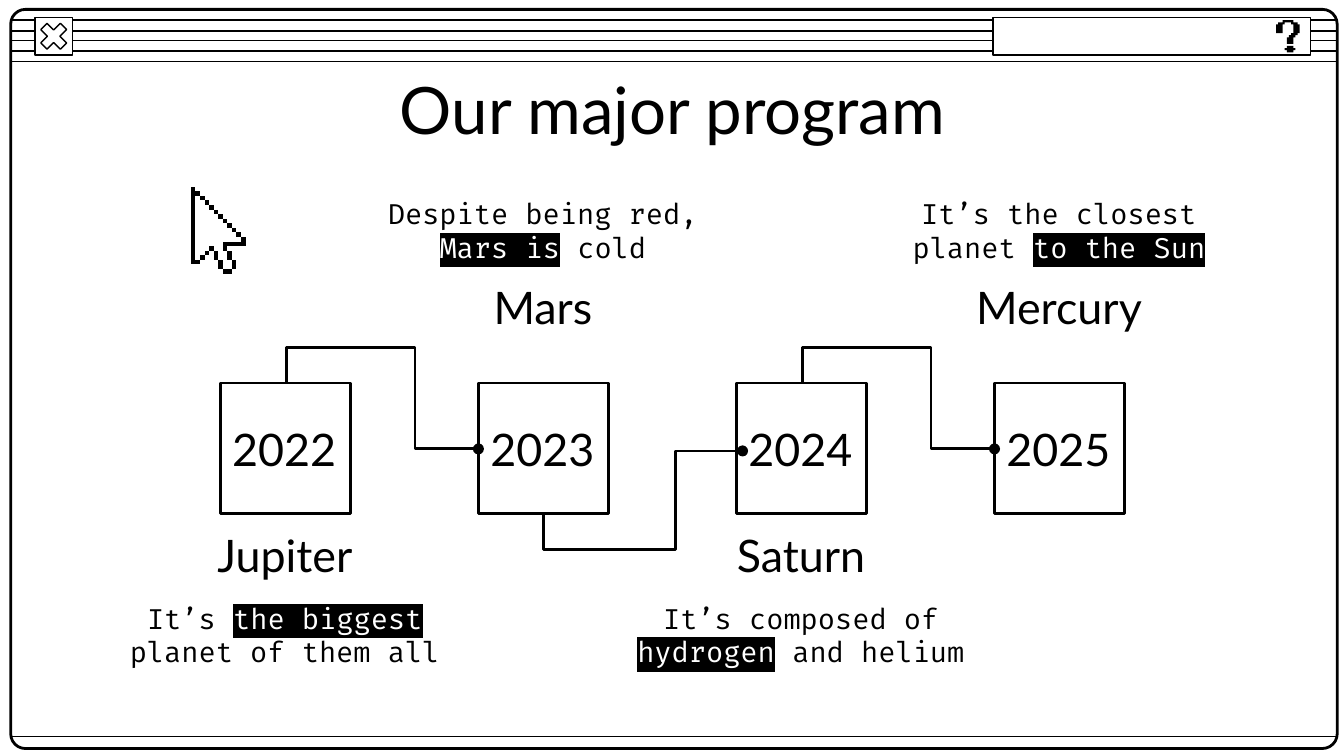
from lxml.etree import SubElement
from pptx import Presentation
from pptx.dml.color import RGBColor
from pptx.enum.shapes import MSO_CONNECTOR, MSO_SHAPE
from pptx.enum.text import MSO_ANCHOR, PP_ALIGN
from pptx.oxml import parse_xml
from pptx.oxml.ns import nsdecls, qn
from pptx.util import Inches, Pt

BLACK = RGBColor(0, 0, 0)
WHITE = RGBColor(255, 255, 255)

presentation = Presentation()
presentation.slide_width = Inches(10)
presentation.slide_height = Inches(5.625)
slide = presentation.slides.add_slide(presentation.slide_layouts[6])
shapes = slide.shapes

CELL = presentation.slide_width / 100
STEP = 19.2
THIN, THICK = Pt(0.75), Pt(1.5)
FRAME_FORMAT = {"word_wrap": True, "vertical_anchor": MSO_ANCHOR.MIDDLE}
FRAME_FORMAT.update({f"margin_{side}": Inches(0.1) for side in ("left", "top", "right", "bottom")})
HEADING = {"size": Pt(24), "name": "Lato"}
TITLE = {"size": Pt(35), "name": "Lato"}
BODY = {"size": Pt(15), "name": "Fira Code"}


def grid(*cells):
    return [round(cell * CELL) for cell in cells]


def style(shape, fill=None, line_width=None):
    shape.shadow.inherit = False
    if fill is None:
        shape.fill.background()
    else:
        shape.fill.solid()
        shape.fill.fore_color.rgb = fill
    if line_width is None:
        shape.line.fill.background()
    else:
        shape.line.color.rgb = BLACK
        shape.line.width = line_width


connectors = []
for rule_top in (1.5, 2.3, 3, 3.8, 4.6, 54.8):
    rule = shapes.add_connector(MSO_CONNECTOR.STRAIGHT, *grid(0.8, rule_top, 99.5, rule_top))
    connectors.append((rule, THIN))

window_parts = [
    (MSO_SHAPE.ROUNDED_RECTANGLE, (0.8, 0.7, 98.7, 55), None, THICK, 0.02),
    (MSO_SHAPE.RECTANGLE, (2.6, 1.3, 2.8, 2.8), WHITE, THIN, None),
    (MSO_SHAPE.MATH_MULTIPLY, (2.6, 1.3, 2.8, 2.8), WHITE, THIN, 0.235),
    (MSO_SHAPE.RECTANGLE, (73.9, 1.3, 23.6, 2.8), WHITE, THIN, None),
]
for kind, place, fill, line_width, adjustment in window_parts:
    part = shapes.add_shape(kind, *grid(*place))
    style(part, fill, line_width)
    if adjustment is not None:
        part.adjustments[0] = adjustment

question_dot = [(5, 12), (5, 13), (4, 13), (4, 14), (5, 14), (5, 15),
                (8, 15), (8, 14), (9, 14), (9, 13), (8, 13), (8, 12)]
question_hook = [(3, 0), (3, 1), (1, 1), (1, 2), (0, 2), (0, 6), (3, 6), (3, 2),
                 (4, 2), (4, 1), (7, 1), (7, 2), (8, 2), (8, 6), (7, 6), (7, 7),
                 (6, 7), (6, 8), (5, 8), (5, 11), (8, 11), (8, 8), (9, 8), (9, 7),
                 (10, 7), (10, 6), (11, 6), (11, 2), (10, 2), (10, 1), (8, 1), (8, 0)]
cursor_body = [(0, 0), (0, 17), (2, 17), (2, 16), (3, 16), (3, 15), (4, 15), (4, 14),
               (5, 14), (5, 16), (6, 16), (6, 18), (7, 18), (7, 19), (9, 19), (9, 18),
               (10, 18), (10, 16), (9, 16), (9, 14), (8, 14), (8, 13), (12, 13)]
for stair in range(11, 0, -1):
    cursor_body += [(stair + 1, stair), (stair, stair)]
cursor_body.append((1, 0))

cursor_strokes = [(0, 0, 1, 17)] + [(stair, stair, 1, 1) for stair in range(1, 12)]
cursor_strokes += [(7, 12, 5, 1), (7, 13, 1, 1), (4, 13, 1, 1), (5, 14, 1, 2),
                   (6, 16, 1, 2), (7, 18, 2, 1), (8, 14, 1, 2), (9, 16, 1, 2),
                   (3, 14, 1, 1), (2, 15, 1, 1), (1, 16, 1, 1)]

question_place = (94.95, 1.5, 0.16)
cursor_place = (14.2, 13.9, 0.34)
pixel_outlines = [
    (question_dot, question_place, BLACK),
    (question_hook, question_place, BLACK),
    (cursor_body, cursor_place, WHITE),
]
for column, row, width, height in cursor_strokes:
    right, bottom = column + width, row + height
    corners = [(column, row), (column, bottom), (right, bottom), (right, row)]
    pixel_outlines.append((corners, cursor_place, BLACK))
for points, (left, top, pixel), fill in pixel_outlines:
    builder = shapes.build_freeform(*points[0], scale=pixel * CELL)
    builder.add_line_segments(points[1:], close=True)
    style(builder.convert_to_shape(*grid(left, top)), fill)

milestones = [
    ("2022", "Jupiter", 39, 44.4, ["It’s ", "the biggest", " planet of them all"]),
    ("2023", "Mars", 20.5, 14.3, ["Despite being red, ", "Mars is", " cold"]),
    ("2024", "Saturn", 39, 44.4, ["It’s composed of ", "hydrogen", " and helium"]),
    ("2025", "Mercury", 20.5, 14.3, ["It’s the closest planet ", "to the Sun"]),
]
texts = [((7.9, 4.9, 84.3, 6.3), ["Our major program"], TITLE)]
for index, (year, planet, planet_top, detail_top, detail) in enumerate(milestones):
    offset = index * STEP
    style(shapes.add_shape(MSO_SHAPE.RECTANGLE, *grid(16.4 + offset, 28.5, 9.7, 9.7)), None, THICK)
    texts += [
        ((15 + offset, 30.7, 12.3, 5.4), [year], HEADING),
        ((7.9 + offset, planet_top, 26.6, 4.6), [planet], HEADING),
        ((7.9 + offset, detail_top, 26.6, 5.7), detail, BODY),
    ]

elbows = [
    ((30.9, 23.8, 26, 38.1), -53600, 67000),
    ((45.5, 28.5, 50.2, 43.3), -55700, 66400),
    ((69.3, 23.8, 64.4, 38.1), -53600, 67000),
]
for place, first_bend, second_bend in elbows:
    elbow = shapes.add_connector(MSO_CONNECTOR.ELBOW, *grid(*place))
    connectors.append((elbow, THICK))
    properties = elbow._element.spPr
    properties.find(qn("a:xfrm")).set("rot", str(270 * 60000))
    geometry = properties.find(qn("a:prstGeom"))
    geometry.set("prst", "bentConnector4")
    guides = geometry.find(qn("a:avLst"))
    for name, value in (("adj1", first_bend), ("adj2", second_bend)):
        SubElement(guides, qn("a:gd"), name=name, fmla=f"val {value}")

for connector, line_width in connectors:
    connector.line.color.rgb = BLACK
    connector.line.width = line_width
    if line_width == THICK:
        SubElement(connector.line._get_or_add_ln(), qn("a:tailEnd"), type="oval")
    SubElement(connector._element.spPr, qn("a:effectLst"))

for place, pieces, font_format in texts:
    frame = shapes.add_textbox(*grid(*place)).text_frame
    for name, value in FRAME_FORMAT.items():
        setattr(frame, name, value)
    paragraph = frame.paragraphs[0]
    paragraph.alignment = PP_ALIGN.CENTER
    for position, piece in enumerate(pieces):
        run = paragraph.add_run()
        run.text = piece
        highlighted = position == 1
        run.font.color.rgb = WHITE if highlighted else BLACK
        for name, value in font_format.items():
            setattr(run.font, name, value)
        if highlighted:
            highlight = parse_xml(f'<a:highlight {nsdecls("a")}><a:srgbClr val="{BLACK}"/></a:highlight>')
            run.font._element.find(qn("a:solidFill")).addnext(highlight)

presentation.save("out.pptx")
